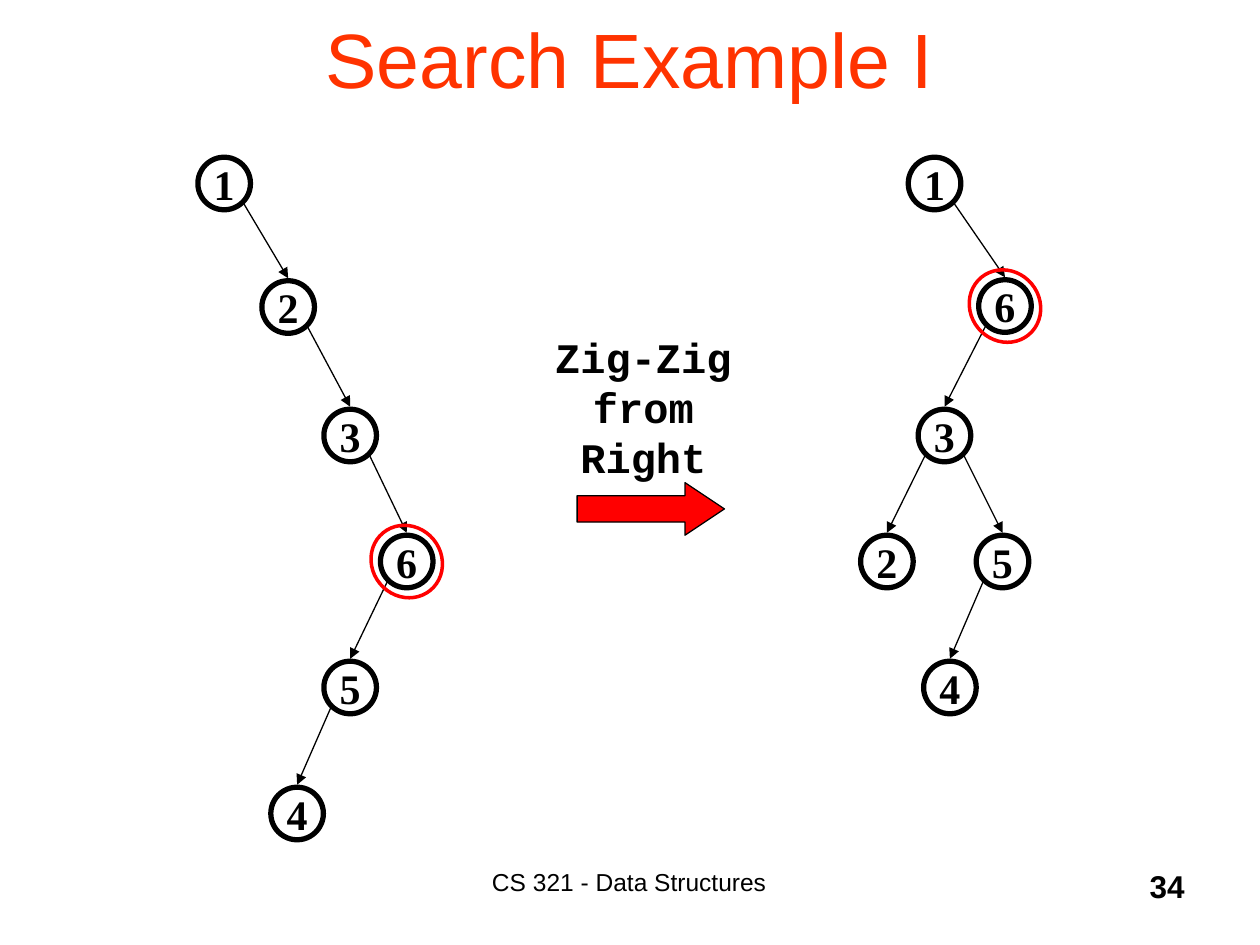
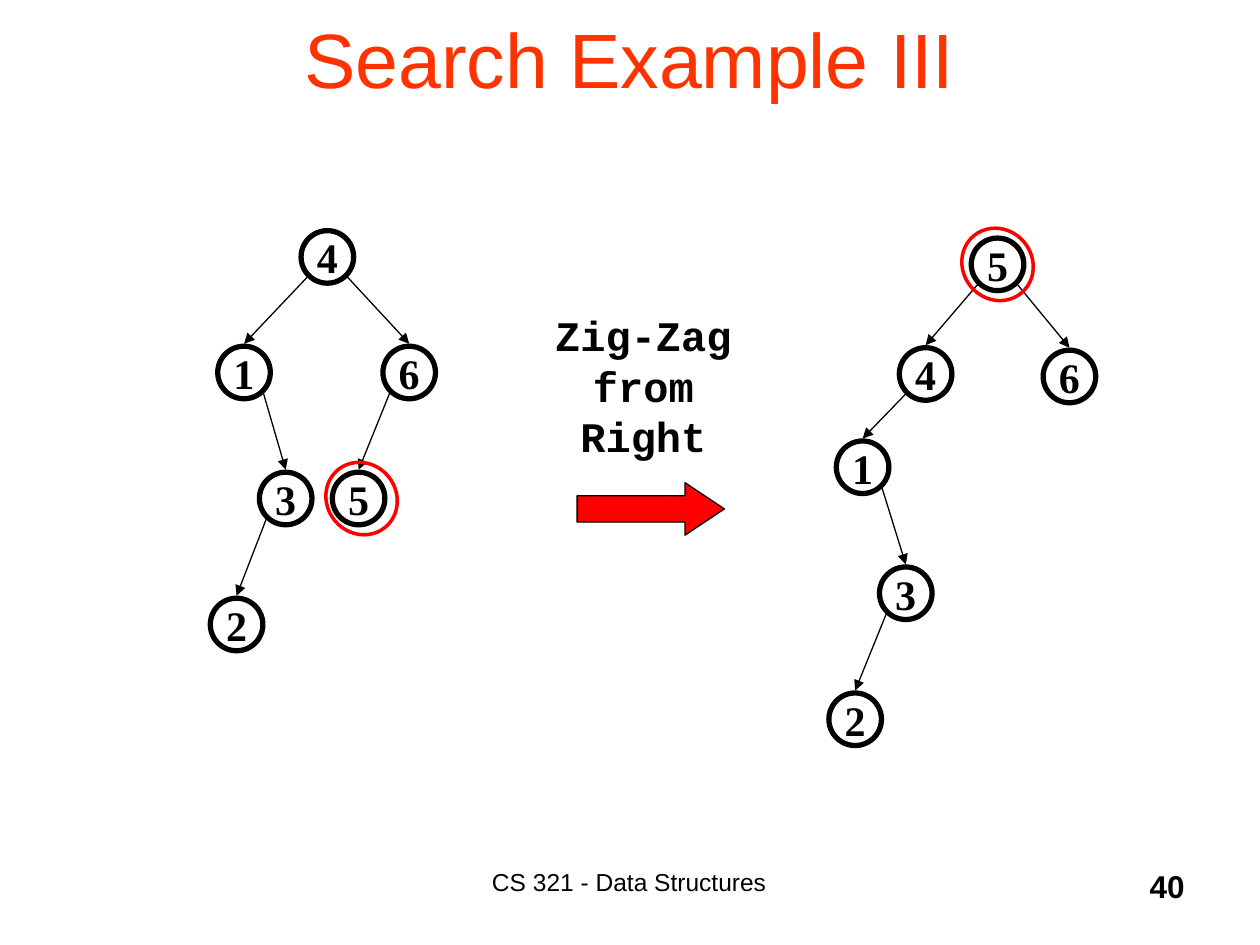
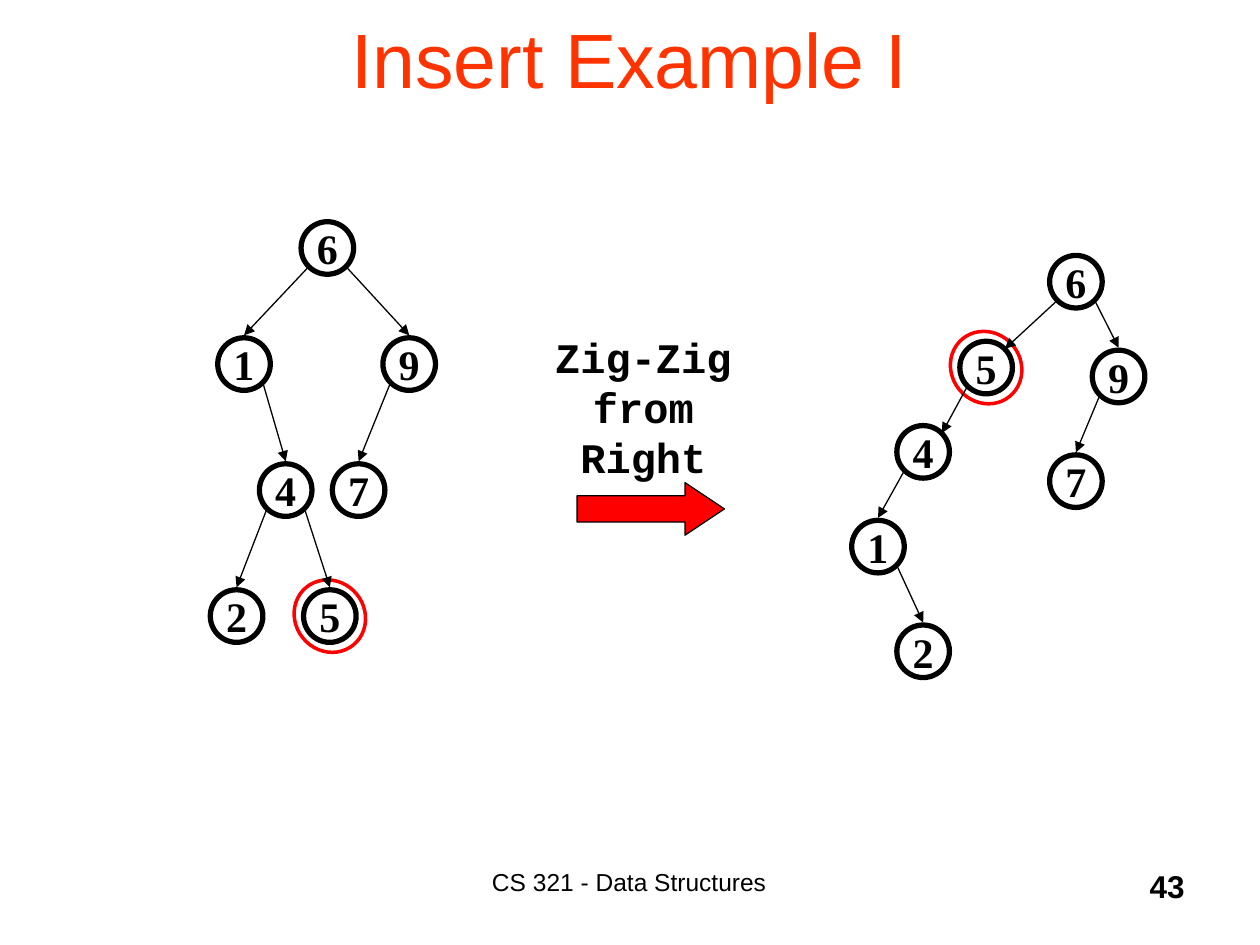
from lxml import etree
from pptx import Presentation
from pptx import util as u
from pptx.dml.color import RGBColor
from pptx.enum import shapes, text
from pptx.oxml.ns import qn

BLACK, RED, TITLE_RED = "000000", "FF0000", "FF3300"
SANS, MONO, SERIF = "Arial", "Courier New", "Times New Roman"
NODE_SIZE = 1.06
CORNER = 0.38  # offset from a node's centre to its edge at 45 degrees
TIP_GAP = 0.05
LABEL_CENTRE = 12.97


def rgb(hex_string):
    return RGBColor.from_string(hex_string)


class TreeDeck:
    """Holds the presentation, its style and the slide being built."""

    def __init__(self):
        self.presentation = Presentation()
        self.presentation.slide_width = u.Cm(25.4)
        self.presentation.slide_height = u.Cm(19.05)
        self.slide = None

    def start_slide(self, title, number):
        layout = self.presentation.slide_layouts[5]
        self.slide = self.presentation.slides.add_slide(layout)
        placeholder = self.slide.shapes.title
        placeholder.left, placeholder.top = u.Cm(1.9), u.Cm(-0.43)
        placeholder.width, placeholder.height = u.Cm(21.59), u.Cm(3.18)
        frame = placeholder.text_frame
        frame.auto_size = text.MSO_AUTO_SIZE.NONE
        frame.vertical_anchor = text.MSO_ANCHOR.MIDDLE
        self.add_words(frame, title, 44, SANS, color=TITLE_RED)
        self.text_box("CS 321 - Data Structures", 7.82, 17.35, 9.73, 1.27, 14, SANS)
        self.text_box(number, 18.85, 17.35, 5.28, 1.27, 18, SANS,
                      bold=True, align=text.PP_ALIGN.RIGHT)

    def add_words(self, frame, words, size, font, bold=False, color=BLACK,
                  align=text.PP_ALIGN.CENTER):
        paragraph = frame.paragraphs[0]
        paragraph.alignment = align
        run = paragraph.add_run()
        run.text = words
        run.font.size, run.font.name, run.font.bold = u.Pt(size), font, bold
        run.font.color.rgb = rgb(color)

    def text_box(self, words, left, top, width, height, size, font, **style):
        box = self.slide.shapes.add_textbox(
            u.Cm(left), u.Cm(top), u.Cm(width), u.Cm(height))
        box.text_frame.word_wrap = True
        self.add_words(box.text_frame, words, size, font, **style)

    def shape(self, parent, kind, center, width, height, line, line_width, fill=None):
        x, y = center
        shape = parent.add_shape(kind, u.Cm(x - width / 2), u.Cm(y - height / 2),
                                 u.Cm(width), u.Cm(height))
        shape.shadow.inherit = False
        if fill:
            shape.fill.solid()
            shape.fill.fore_color.rgb = rgb(fill)
        else:
            shape.fill.background()
        shape.line.color.rgb = rgb(line)
        shape.line.width = u.Pt(line_width)
        return shape

    def step(self, words, top, width=4.34):
        """Name the rotation above the big arrow between the two trees."""
        self.text_box(words, LABEL_CENTRE - width / 2, top, width, 3.33, 24, MONO,
                      bold=True)
        arrow = self.shape(self.slide.shapes, shapes.MSO_SHAPE.RIGHT_ARROW,
                           (13.12, 10.26), 2.97, 1.06, BLACK, 0.75, RED)
        arrow.adjustments[0], arrow.adjustments[1] = 0.5, 0.75

    def node(self, parent, key, center):
        circle = self.shape(parent, shapes.MSO_SHAPE.OVAL, center,
                            NODE_SIZE, NODE_SIZE, BLACK, 3)
        frame = circle.text_frame
        frame.word_wrap = False
        frame.vertical_anchor = text.MSO_ANCHOR.MIDDLE
        self.add_words(frame, str(key), 24, SERIF, bold=True)

    def edge(self, parent, start, end, to_corner):
        """Point from the parent's lower corner to the child's top or near corner."""
        side = CORNER if end[0] > start[0] else -CORNER
        if to_corner:
            tip = end[0] - side, end[1] - CORNER
        else:
            tip = end[0], end[1] - NODE_SIZE / 2 - TIP_GAP
        line = parent.add_connector(
            shapes.MSO_CONNECTOR.STRAIGHT, u.Cm(start[0] + side),
            u.Cm(start[1] + CORNER), u.Cm(tip[0]), u.Cm(tip[1]))
        line.line.color.rgb = rgb(BLACK)
        line.line.width = u.Pt(0.75)
        properties = line._element.spPr
        etree.SubElement(properties.find(qn("a:ln")), qn("a:tailEnd"), type="triangle")
        etree.SubElement(properties, qn("a:effectLst"))

    def ring(self, parent, center):
        ring = self.shape(parent, shapes.MSO_SHAPE.OVAL, center, 1.4, 1.5, RED, 2)
        ring.rotation = 320.5

    def tree(self, nodes, edges, ringed, ring_behind=False, ring_shift=0, corners=()):
        """Draw a tree; nodes maps each key to its centre."""
        group = self.slide.shapes.add_group_shape().shapes
        x, y = nodes[ringed]
        ring_center = x + ring_shift, y
        if ring_behind:
            self.ring(group, ring_center)
        for pair in edges:
            above, below = pair
            self.edge(group, nodes[above], nodes[below], pair in corners)
        for key, center in nodes.items():
            self.node(group, key, center)
        if not ring_behind:
            self.ring(group, ring_center)


def search_example_one(deck):
    deck.start_slide("Search Example I", "34")
    deck.tree({1: (4.52, 3.7), 2: (5.81, 6.19), 3: (7.06, 8.78),
               6: (8.2, 11.32), 5: (7.06, 13.86), 4: (5.99, 16.4)},
              [(1, 2), (2, 3), (3, 6), (6, 5), (5, 4)], ringed=6)
    deck.tree({1: (18.84, 3.7), 6: (20.26, 6.17), 3: (19.04, 8.78),
               2: (17.88, 11.32), 5: (20.21, 11.32), 4: (19.15, 13.86)},
              [(1, 6), (6, 3), (3, 2), (3, 5), (5, 4)], ringed=6)
    deck.step("Zig-Zig from Right", 6.55)


def search_example_three(deck):
    deck.start_slide("Search Example III", "40")
    deck.step("Zig-Zag from Right", 6.12, width=4.78)
    deck.tree({4: (6.6, 5.18), 1: (4.92, 7.51), 6: (8.25, 7.51),
               3: (5.76, 10.05), 5: (7.23, 10.05), 2: (4.77, 12.59)},
              [(4, 1), (4, 6), (1, 3), (6, 5), (3, 2)], ringed=5, ring_shift=0.06)
    deck.tree({5: (20.11, 5.33), 4: (18.66, 7.54), 6: (21.56, 7.59),
               1: (17.39, 9.42), 3: (18.26, 11.96), 2: (17.24, 14.5)},
              [(5, 4), (5, 6), (4, 1), (1, 3), (3, 2)], ringed=5)


def insert_example_one(deck):
    deck.start_slide("Insert Example I", "43")
    deck.tree({6: (6.6, 5), 1: (4.92, 7.34), 9: (8.25, 7.34), 4: (5.76, 9.88),
               7: (7.23, 9.88), 2: (4.77, 12.42), 5: (6.65, 12.42)},
              [(6, 1), (6, 9), (1, 4), (9, 7), (4, 2), (4, 5)],
              ringed=5, ring_behind=True)
    deck.step("Zig-Zig from Right", 6.55)
    deck.tree({6: (21.69, 5.68), 5: (19.88, 7.41), 9: (22.55, 7.59), 4: (18.61, 9.11),
               7: (21.69, 9.7), 1: (17.7, 11.02), 2: (18.61, 13.13)},
              [(6, 5), (6, 9), (5, 4), (9, 7), (4, 1), (1, 2)],
              ringed=5, ring_behind=True, corners=[(6, 5), (5, 4)])


def main():
    deck = TreeDeck()
    search_example_one(deck)
    search_example_three(deck)
    insert_example_one(deck)
    deck.presentation.save("out.pptx")


if __name__ == "__main__":
    main()
